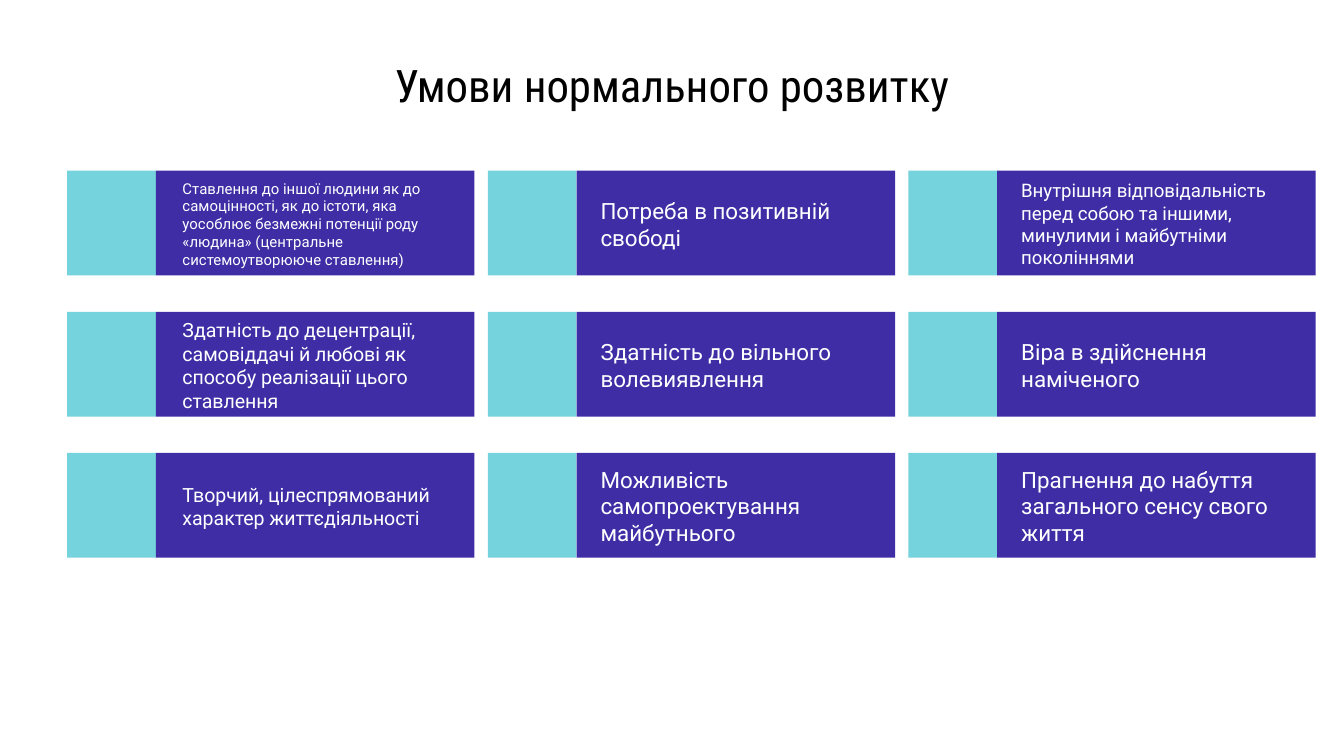
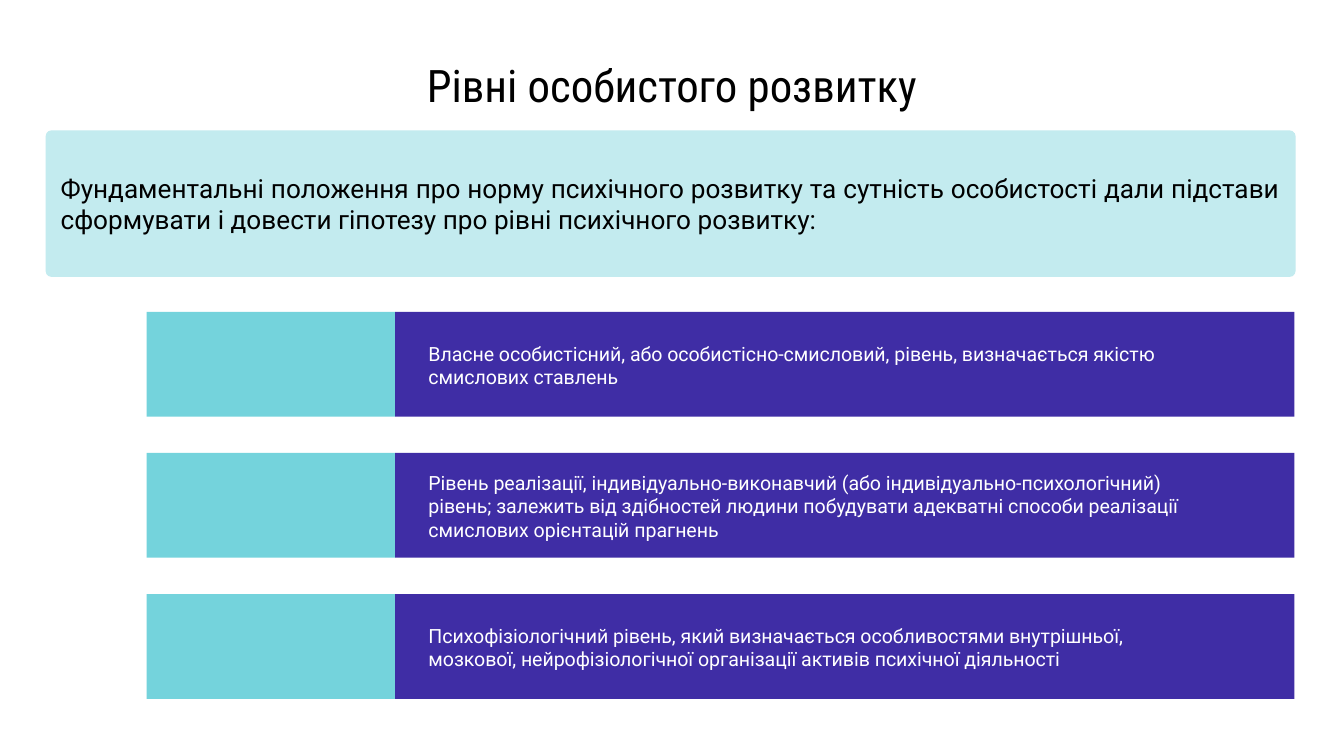
from pptx import Presentation
from pptx.dml.color import RGBColor
from pptx.enum.shapes import MSO_SHAPE as Shape
from pptx.enum.text import MSO_ANCHOR as Anchor, MSO_AUTO_SIZE as AutoSize, PP_ALIGN as Align
from pptx.util import Inches, Pt

PAGE_WIDTH = 10
PAGE_HEIGHT = PAGE_WIDTH * 9 / 16
TEAL, INDIGO, PALE = "74D3DC", "3F2DA5", "C3EBEF"
BLACK, WHITE = "000000", "FFFFFF"
BODY_FONT, TITLE_FONT = "Roboto", "Roboto Condensed"
TITLE_ONLY = 5
ROW_HEIGHT, ROW_STEP = 0.78, 1.05
LABEL_DROP, LABEL_HEIGHT = 0.07, 0.65

CONDITIONS = [
    [
        ("Ставлення до іншої людини як до самоцінності, як до істоти, яка уособлює "
         "безмежні потенції роду «людина» (центральне системоутворююче ставлення)", 8),
        ("Здатність до децентрації, самовіддачі й любові як способу реалізації "
         "цього ставлення", 10.5),
        ("Творчий, цілеспрямований характер життєдіяльності", 10.5),
    ],
    [
        ("Потреба в позитивній свободі", 12),
        ("Здатність до вільного волевиявлення", 12),
        ("Можливість самопроектування майбутнього", 12),
    ],
    [
        ("Внутрішня відповідальність перед собою та іншими, минулими і майбутніми "
         "поколіннями", 10),
        ("Віра в здійснення наміченого", 12),
        ("Прагнення до набуття загального сенсу свого життя", 12),
    ],
]
INTRO = ("Фундаментальні положення про норму психічного розвитку та сутність особистості "
         "дали підстави сформувати і довести гіпотезу про рівні психічного розвитку:")
LEVELS = [
    "Власне особистісний, або особистісно-смисловий, рівень, визначається якістю "
    "смислових ставлень",
    "Рівень реалізації, індивідуально-виконавчий (або індивідуально-психологічний) рівень; "
    "залежить від здібностей людини побудувати адекватні способи реалізації смислових "
    "орієнтацій прагнень",
    "Психофізіологічний рівень, який визначається особливостями внутрішньої, мозкової, "
    "нейрофізіологічної організації активів психічної діяльності",
]


def rgb(value):
    """Turn a hex string into a colour."""
    return RGBColor.from_string(value)


def inches(*lengths):
    """Turn plain numbers into lengths."""
    return [Inches(length) for length in lengths]


def write(box, text, size, color=WHITE, font=BODY_FONT, align=Align.LEFT):
    """Put one formatted paragraph into a shape."""
    frame = box.text_frame
    margins = {f"margin_{side}": Inches(0.1) for side in ("left", "top", "right", "bottom")}
    layout = {"word_wrap": True, "auto_size": AutoSize.NONE, "vertical_anchor": Anchor.MIDDLE}
    for name, value in {**layout, **margins}.items():
        setattr(frame, name, value)
    para = frame.paragraphs[0]
    para.alignment = align
    span = para.add_run()
    span.text = text
    for name, value in {"name": font, "size": Pt(size)}.items():
        setattr(span.font, name, value)
    span.font.color.rgb = rgb(color)


def add_block(shapes, kind, place, color):
    """Add a flat filled shape without outline."""
    block = shapes.add_shape(kind, *inches(*place))
    block.shadow.inherit = False
    block.fill.solid()
    block.fill.fore_color.rgb = rgb(color)
    block.line.fill.background()
    return block


def add_page(deck, heading):
    """Add a slide with the shared title style."""
    page = deck.slides.add_slide(deck.slide_layouts[TITLE_ONLY])
    title = page.shapes.title
    places = zip(("left", "top", "width", "height"), inches(0.5, 0.45, 9, 0.36))
    for name, value in places:
        setattr(title, name, value)
    write(title, heading, 24, BLACK, TITLE_FONT, Align.CENTER)
    return page


def add_card(page, left, top, tab_width, body_width, label_indent, label_width, text, size):
    """Add a teal tab joined to an indigo body with its label."""
    body_left = left + tab_width
    pair = page.shapes.add_group_shape().shapes
    add_block(pair, Shape.RECTANGLE, (left, top, tab_width, ROW_HEIGHT), TEAL)
    add_block(pair, Shape.RECTANGLE, (body_left, top, body_width, ROW_HEIGHT), INDIGO)
    label = page.shapes.add_textbox(
        *inches(body_left + label_indent, top + LABEL_DROP, label_width, LABEL_HEIGHT))
    write(label, text, size)


def add_conditions(deck):
    """Build the grid of development conditions."""
    page = add_page(deck, "Умови нормального розвитку")
    for column, cards in enumerate(CONDITIONS):
        indent = 0.08 if column else 0.1
        for row, (text, size) in enumerate(cards):
            add_card(page, 0.5 + column * 3.13, 1.27 + row * ROW_STEP,
                     0.66, 2.37, indent, 2.07, text, size)


def add_levels(deck):
    """Build the intro panel and the list of levels."""
    page = add_page(deck, "Рівні особистого розвитку")
    panel = add_block(page.shapes, Shape.ROUNDED_RECTANGLE, (0.34, 0.97, 9.3, 1.09), PALE)
    panel.adjustments[0] = 0.04
    write(panel, INTRO, 14, BLACK, align=Align.JUSTIFY)
    for row, text in enumerate(LEVELS):
        add_card(page, 1.09, 2.32 + row * ROW_STEP, 1.85, 6.69, 0.15, 5.83, text, 10.5)


def main():
    """Build and save the deck."""
    deck = Presentation()
    deck.slide_width, deck.slide_height = inches(PAGE_WIDTH, PAGE_HEIGHT)
    add_conditions(deck)
    add_levels(deck)
    deck.save("out.pptx")


if __name__ == "__main__":
    main()
